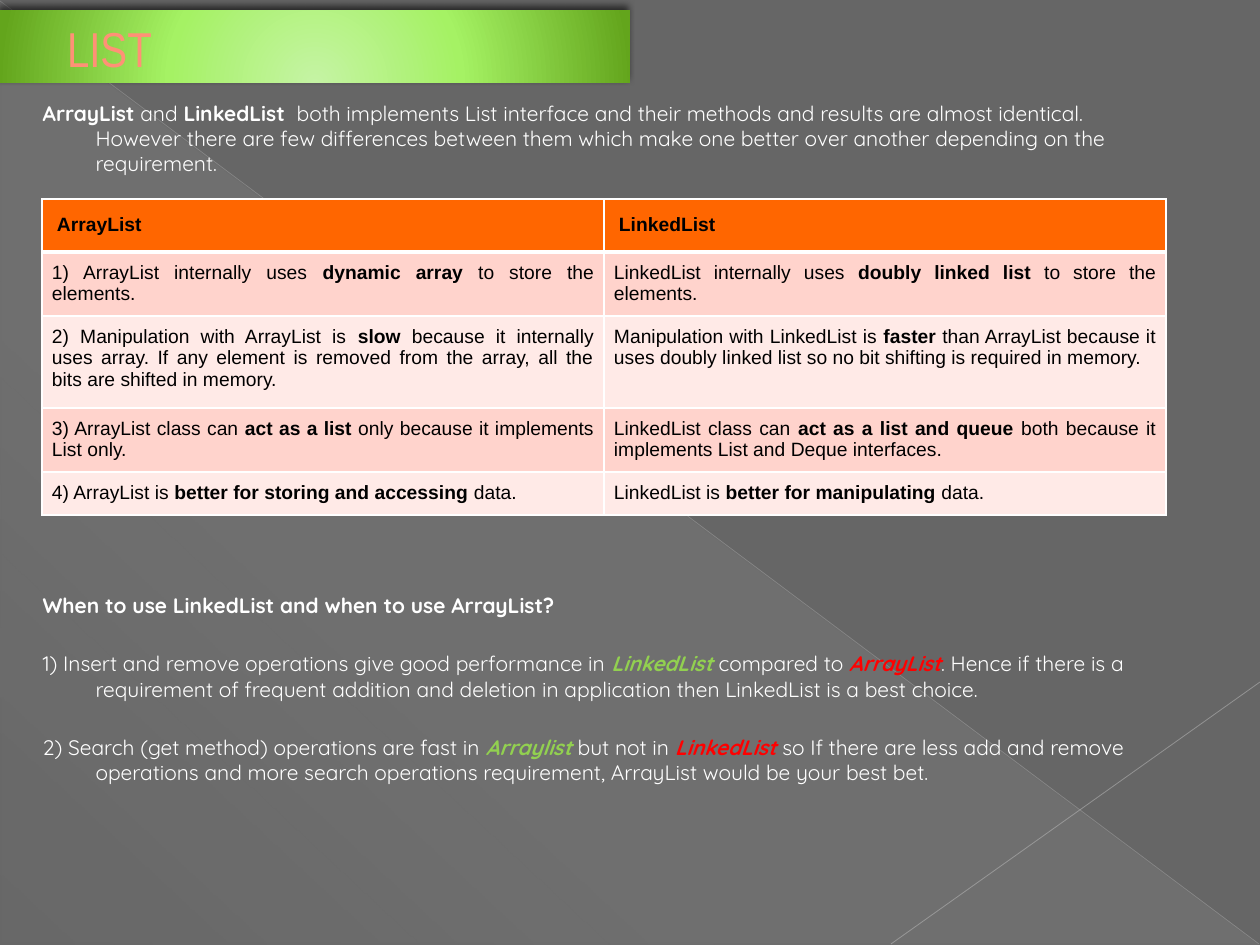
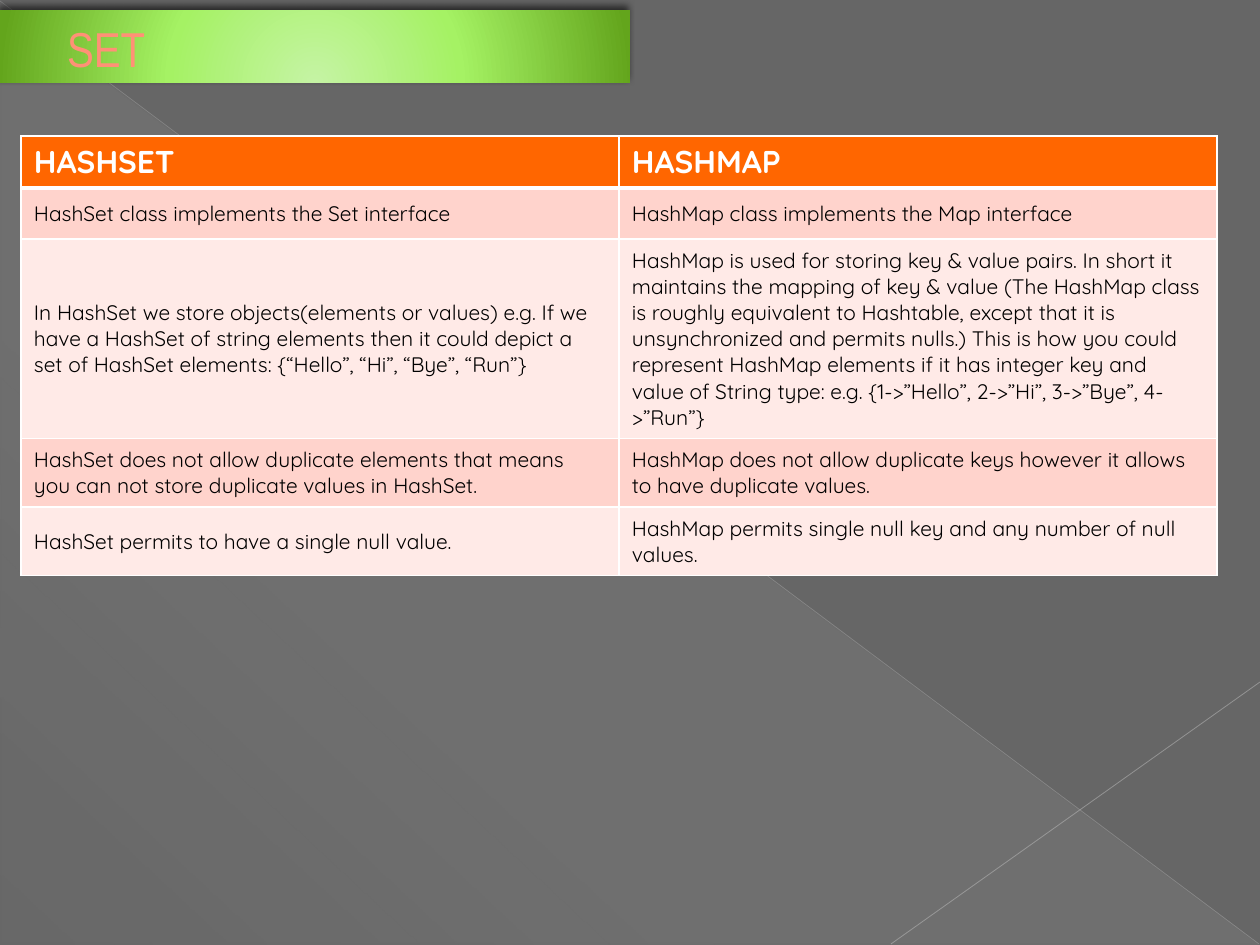
from lxml.etree import SubElement
from pptx import Presentation
from pptx.dml.color import RGBColor
from pptx.enum.shapes import MSO_CONNECTOR as CONN, MSO_SHAPE as SHAPE
from pptx.enum.text import MSO_ANCHOR as ANCHOR, MSO_AUTO_SIZE as AUTO, PP_ALIGN as ALIGN
from pptx.oxml import parse_xml
from pptx.oxml.ns import nsdecls, qn
from pptx.util import Emu, Pt

COLORS = {
    "page": "666666", "haze": "D2D2D2", "diagonal": "BFBFBF", "corner": "C6C6C6",
    "band_light": "C5F3A4", "band": "A5F264", "band_dark": "63A51C",
    "title": "FF9176", "title_edge": "B14700",
    "white": "FFFFFF", "black": "000000", "good": "92D050", "bad": "FF0000",
    "header": "FF6600", "row_odd": "FFD3CC", "row_even": "FFEAE7",
}
TITLE_FONT, BODY_FONT, CELL_FONT = "Arial Narrow", "Quicksand", "Arial"
TITLE_AND_BODY, TITLE_ONLY = 1, 5


def px(n):
    return Emu(round(n * 914400 / 126))


def rgb(name):
    return RGBColor.from_string(COLORS[name])


def gradient(stops, direction):
    """Gradient fill from (position %, colour, opacity %) stops."""
    gs = "".join(
        f'<a:gs pos="{pos * 1000}"><a:srgbClr val="{COLORS[color]}">'
        f'<a:alpha val="{alpha * 1000}"/></a:srgbClr></a:gs>'
        for pos, color, alpha in stops)
    return parse_xml(f'<a:gradFill {nsdecls("a")} rotWithShape="1">'
                     f'<a:gsLst>{gs}</a:gsLst>{direction}</a:gradFill>')


def solid_line(tag, color, width):
    return parse_xml(f'<a:{tag} {nsdecls("a")} w="{Pt(width)}"><a:solidFill>'
                     f'<a:srgbClr val="{COLORS[color]}"/></a:solidFill></a:{tag}>')


class Deck:
    def __init__(self):
        self.prs = Presentation()
        self.prs.slide_width, self.prs.slide_height = px(1260), px(945)
        fill = self.prs.slide_master.background.fill
        fill.solid()
        fill.fore_color.rgb = rgb("page")
        self.s = None

    def new_slide(self, layout, title):
        self.s = self.prs.slides.add_slide(self.prs.slide_layouts[layout])
        backdrop = [
            self.haze(1, 3, 1258, 942),
            self.line((0, 1), (1259, 944), "diagonal", 0.39, 35),
            self.line((1260, 682), (891, 944), "corner", 0.47, 45),
        ]
        # The first two children of the tree are its properties.
        for i, sp in enumerate(backdrop, 2):
            self.s.shapes.element.insert(i, sp.element)
        self.title(title)

    def place(self, sp, x, y, w, h):
        sp.left, sp.top, sp.width, sp.height = map(px, (x, y, w, h))

    def haze(self, x, y, w, h):
        """Translucent triangle over the lower left half of the page."""
        sp = self.s.shapes.add_shape(SHAPE.RIGHT_TRIANGLE, px(x), px(y), px(w), px(h))
        stops = [(0, "haze", 10), (70, "haze", 8), (100, "haze", 1)]
        sp.element.spPr.append(gradient(stops, f'<a:lin ang="{133 * 60000}" scaled="0"/>'))
        sp.line.fill.background()
        sp.shadow.inherit = False
        return sp

    def line(self, start, end, color, width, opacity):
        c = self.s.shapes.add_connector(CONN.STRAIGHT, *map(px, start + end))
        c.line.color.rgb = rgb(color)
        c.line.width = Pt(width)
        spPr = c.element.spPr
        SubElement(spPr.find(".//" + qn("a:srgbClr")), qn("a:alpha"), val=str(opacity * 1000))
        SubElement(spPr, qn("a:effectLst"))
        return c

    def runs(self, p, runs, font, size, color, bold=False):
        """Add runs: a str is plain, (text,) is bold, (text, colour) is bold italic."""
        for run in runs:
            text, *accent = (run, None) if isinstance(run, str) else run
            r = p.add_run()
            r.text = text
            f = r.font
            f.name, f.size = font, Pt(size)
            f.bold = bold or not isinstance(run, str)
            f.italic = bool(accent and accent[0])
            f.color.rgb = rgb(accent[0] if f.italic else color)

    def title(self, text):
        sp = self.s.shapes.title
        self.place(sp, 0, 10, 630, 73)
        spPr = sp.element.spPr
        stops = [(0, "band_light", 100), (46, "band", 100), (100, "band_dark", 100)]
        spPr.append(gradient(stops, '<a:path path="circle"><a:fillToRect l="50000" '
                                    't="155000" r="50000" b="-55000"/></a:path>'))
        spPr.append(parse_xml(
            f'<a:effectLst {nsdecls("a")}><a:outerShdw blurRad="{Pt(4)}" dist="{Pt(3)}" '
            f'dir="{245 * 60000}" rotWithShape="0"><a:srgbClr val="{COLORS["black"]}">'
            f'<a:alpha val="60000"/></a:srgbClr></a:outerShdw></a:effectLst>'))
        tf = sp.text_frame
        tf.auto_size, tf.vertical_anchor = AUTO.NONE, ANCHOR.BOTTOM
        tf.margin_left, tf.margin_top, tf.margin_right, tf.margin_bottom = map(px, (0, 0, 13, 6))
        p = tf.paragraphs[0]
        p.alignment = ALIGN.LEFT
        p._p.get_or_add_pPr().set("marL", str(px(67)))
        self.runs(p, [text], TITLE_FONT, 28, "title")
        p.runs[0].font._element.insert(0, solid_line("ln", "title_edge", 0.5))

    def body(self, x, y, w, h, paragraphs):
        """Fill the body placeholder with (space before in pt, runs) paragraphs."""
        sp = self.s.placeholders[1]
        self.place(sp, x, y, w, h)
        tf = sp.text_frame
        tf.auto_size = AUTO.NONE
        for i, (space, runs) in enumerate(paragraphs):
            p = tf.add_paragraph() if i else tf.paragraphs[0]
            p.space_before = Pt(space)
            pPr = p._p.get_or_add_pPr()
            pPr.set("marL", str(px(62)))
            pPr.set("indent", str(px(-53)))
            SubElement(pPr, qn("a:buNone"))
            self.runs(p, runs, BODY_FONT, 12, "white")

    def cell(self, cell, runs, fill, margins, edges, anchor, align, **style):
        tcPr = cell._tc.get_or_add_tcPr()
        for tag, width in zip(("lnL", "lnR", "lnT", "lnB"), edges):
            tcPr.append(solid_line(tag, "white", width))
        cell.fill.solid()
        cell.fill.fore_color.rgb = rgb(fill)
        cell.margin_left = cell.margin_right = px(margins[0])
        cell.margin_top = cell.margin_bottom = px(margins[1])
        cell.vertical_anchor = anchor
        p = cell.text_frame.paragraphs[0]
        p.alignment = align
        self.runs(p, runs, **style)

    def table(self, x, y, col_width, heights, rows, head, text,
              anchor=ANCHOR.TOP, align=ALIGN.LEFT):
        """head and text hold the style of the first row and of the others."""
        cols = len(rows[0])
        table = self.s.shapes.add_table(len(rows), cols, px(x), px(y),
                                        px(col_width * cols), px(sum(heights))).table
        table.horz_banding = False
        for col in table.columns:
            col.width = px(col_width)
        for i, (height, row) in enumerate(zip(heights, rows)):
            table.rows[i].height = px(height)
            fill = ("row_odd" if i % 2 else "row_even") if i else "header"
            edges = (1, 1, 3 if i == 1 else 1, 1 if i else 3)
            for j, runs in enumerate(row):
                self.cell(table.cell(i, j), runs, fill, edges=edges, anchor=anchor,
                          align=align if i else ALIGN.LEFT, **(text if i else head))


def list_slide(deck):
    deck.new_slide(TITLE_AND_BODY, "LIST")
    deck.body(21, 94, 1134, 829, [
        (0, [("ArrayList",), " and ", ("LinkedList ",),
             " both implements List interface and their methods and results are almost "
             "identical. However there are few differences between them which make one "
             "better over another depending on the requirement."]),
        (238, [("When to use LinkedList and when to use ArrayList?",)]),
        (19, ["1) Insert and remove operations give good performance in ",
              ("LinkedList", "good"), " compared to ", ("ArrayList", "bad"),
              ". Hence if there is a requirement of frequent addition and deletion in "
              "application then LinkedList is a best choice."]),
        (19, ["2) Search (get method) operations are fast in ", ("Arraylist ", "good"),
              "but not in ", ("LinkedList ", "bad"),
              "so If there are less add and remove operations and more search operations "
              "requirement, ArrayList would be your best bet."]),
    ])
    rows = [
        (["ArrayList"], ["LinkedList"]),
        (["1) ArrayList internally uses ", ("dynamic array",), " to store the elements."],
         ["LinkedList internally uses ", ("doubly linked list",), " to store the elements."]),
        (["2) Manipulation with ArrayList is ", ("slow",),
          " because it internally uses array. If any element is removed from the array, "
          "all the bits are shifted in memory."],
         ["Manipulation with LinkedList is ", ("faster",),
          " than ArrayList because it uses doubly linked list so no bit shifting is "
          "required in memory."]),
        (["3) ArrayList class can ", ("act as a list",),
          " only because it implements List only."],
         ["LinkedList class can ", ("act as a list and queue",),
          " both because it implements List and Deque interfaces."]),
        (["4) ArrayList is ", ("better for storing and accessing",), " data."],
         ["LinkedList is ", ("better for manipulating",), " data."]),
    ]
    style = dict(font=CELL_FONT, size=11, color="black")
    deck.table(42, 199, 562, (53, 64, 92, 64, 43), rows,
               head=dict(style, margins=(15, 15), bold=True),
               text=dict(style, margins=(10, 10)), align=ALIGN.JUSTIFY)


def set_slide(deck):
    deck.new_slide(TITLE_ONLY, "SET")
    rows = [
        (["HASHSET"], ["HASHMAP"]),
        (["HashSet class implements the Set interface"],
         ["HashMap class implements the Map interface"]),
        (["In HashSet we store objects(elements or values) e.g. If we have a HashSet of "
          "string elements then it could depict a set of HashSet elements: "
          "{“Hello”, “Hi”, “Bye”, “Run”}"],
         ["HashMap is used for storing key & value pairs. In short it maintains the "
          "mapping of key & value (The HashMap class is roughly equivalent to Hashtable, "
          "except that it is unsynchronized and permits nulls.) This is how you could "
          "represent HashMap elements if it has integer key and value of String type: "
          "e.g. {1->”Hello”, 2->”Hi”, 3->”Bye”, 4->”Run”}"]),
        (["HashSet does not allow duplicate elements that means you can not store "
          "duplicate values in HashSet."],
         ["HashMap does not allow duplicate keys however it allows to have duplicate "
          "values."]),
        (["HashSet permits to have a single null value."],
         ["HashMap permits single null key and any number of null values."]),
    ]
    deck.table(21, 136, 598, (52, 51, 199, 68, 68), rows,
               head=dict(font=BODY_FONT, size=18, color="white", margins=(13, 6), bold=True),
               text=dict(font=BODY_FONT, size=12, color="black", margins=(13, 8)),
               anchor=ANCHOR.MIDDLE)


def main():
    deck = Deck()
    list_slide(deck)
    set_slide(deck)
    deck.prs.save("out.pptx")


if __name__ == "__main__":
    main()
